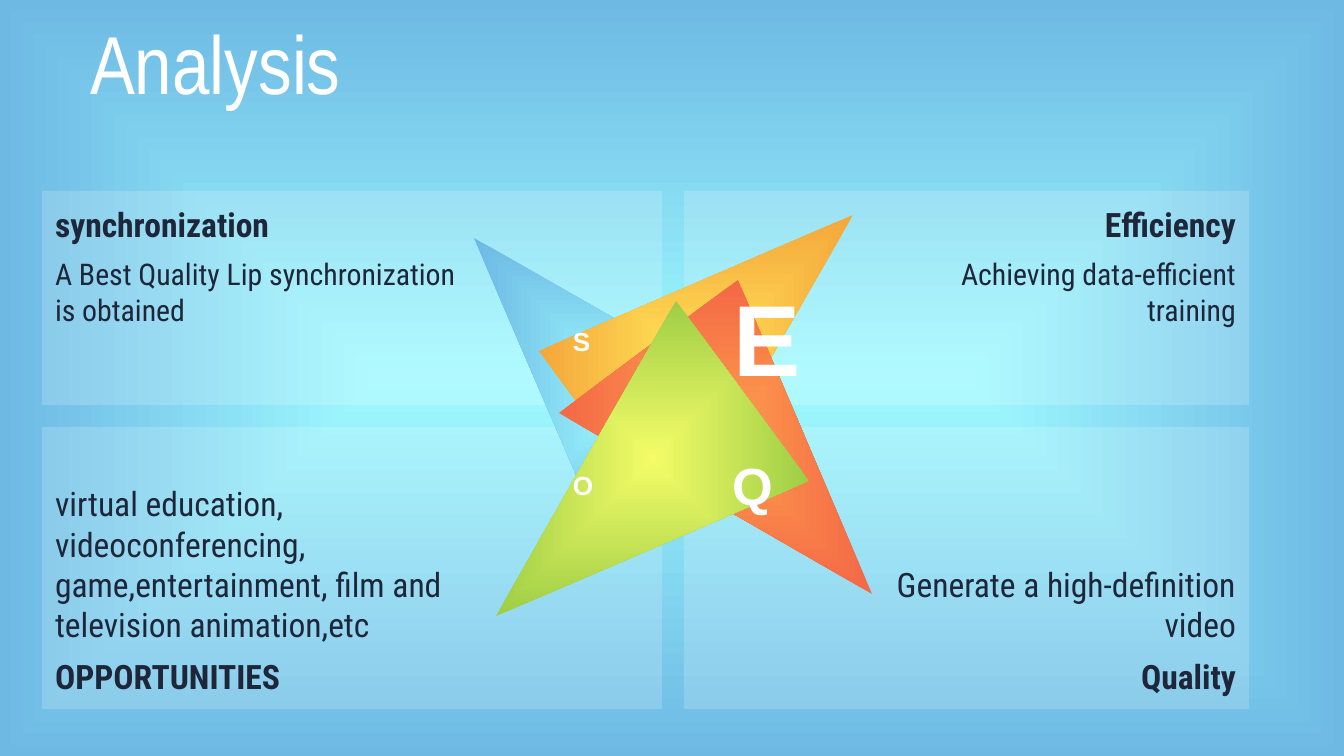
from lxml.etree import SubElement
from pptx import Presentation
from pptx.dml.color import RGBColor
from pptx.enum.shapes import MSO_SHAPE
from pptx.enum.text import MSO_ANCHOR as Anchor, PP_ALIGN as Align
from pptx.oxml.ns import qn
from pptx.util import Pt

COLORS = {
    "white": "FFFFFF", "ink": "1E263A",
    "blue": ("9FFAFF", "6DB9E4"), "orange": ("FFE659", "F5A73B"),
    "red": ("FF9F4D", "F36846"), "green": ("F4FC68", "9ECE46"),
}
TITLE = ("Analysis", (90, 22, 375, 90))

# Panels: column, row, then paragraphs as (text, size, bold)
PANELS = [
    ("left", "top", [("synchronization", 18, True),
                     ("A Best Quality Lip synchronization is obtained", 16, False)]),
    ("right", "top", [("Efficiency", 18, True),
                      ("Achieving data-efficient training", 16, False)]),
    ("left", "bottom", [("virtual education, videoconferencing, game,entertainment, "
                         "film and television animation,etc", 18, False),
                        ("OPPORTUNITIES", 18, True)]),
    ("right", "bottom", [("Generate a high-definition video", 18, False),
                         ("Quality", 18, True)]),
]
# Column: left, width, side insets, alignment; row: top, height, anchor
COLUMNS = {"left": (42, 620, (13, 202), Align.LEFT),
           "right": (684, 565, (202, 13), Align.RIGHT)}
ROWS = {"top": (191, 214, Anchor.TOP), "bottom": (427, 282, Anchor.BOTTOM)}

# Triangles of the star, back to front
TRIANGLES = [
    ("blue", [(609, 551), (788, 418), (474, 238)]),
    ("orange", [(539, 351), (672, 530), (853, 215)]),
    ("red", [(738, 280), (559, 413), (872, 594)]),
    ("green", [(809, 481), (676, 301), (496, 616)]),
]
LETTERS = [("S", 14, (560, 313, 56, 60)), ("E", 54, (720, 313, 46, 60)),
           ("O", 14, (560, 457, 53, 60)), ("Q", 28, (719, 458, 79, 60))]

EMU_PER_PX = 914400 / 134.4


def px(*values):
    return [round(value * EMU_PER_PX) for value in values]


def set_all(target, **values):
    for name, value in values.items():
        setattr(target, name, value)


def set_gradient(fill, element, color):
    """Rectangular gradient from the centre outwards."""
    fill.gradient()
    for stop, value in zip(fill.gradient_stops, COLORS[color]):
        stop.color.rgb = RGBColor.from_string(value)
    gradient = element.find(".//" + qn("a:gradFill"))
    gradient.remove(gradient.find(qn("a:lin")))
    center = SubElement(gradient, qn("a:path"), path="rect")
    SubElement(center, qn("a:fillToRect"), {side: "50000" for side in "ltrb"})


def set_frame(frame, insets, anchor, wrap=True):
    sides = ("margin_left", "margin_top", "margin_right", "margin_bottom")
    set_all(frame, word_wrap=wrap, vertical_anchor=anchor,
            **dict(zip(sides, px(*insets))))


def write(paragraph, text, font, size, color, bold=False, **layout):
    set_all(paragraph, **layout)
    run = paragraph.add_run()
    run.text = text
    set_all(run.font, name=font, size=Pt(size), bold=bold)
    run.font.color.rgb = RGBColor.from_string(COLORS[color])


presentation = Presentation()
presentation.slide_width, presentation.slide_height = px(1344, 756)
slide = presentation.slides.add_slide(presentation.slide_layouts[6])
shapes = slide.shapes
set_gradient(slide.background.fill, slide._element, "blue")

# Title
text, box = TITLE
frame = shapes.add_textbox(*px(*box)).text_frame
set_frame(frame, (0, 0, 0, 0), Anchor.BOTTOM)
write(frame.paragraphs[0], text, "Arial Narrow", 44, "white", line_spacing=0.9)

# Translucent panels
for column, row, lines in PANELS:
    left, width, (inset_left, inset_right), alignment = COLUMNS[column]
    top, height, anchor = ROWS[row]
    panel = shapes.add_shape(MSO_SHAPE.RECTANGLE, *px(left, top, width, height))
    panel.shadow.inherit = False
    panel.line.fill.background()
    panel.fill.solid()
    panel.fill.fore_color.rgb = RGBColor.from_string(COLORS["white"])
    fill_color = panel._element.spPr.find(".//" + qn("a:srgbClr"))
    SubElement(fill_color, qn("a:alpha"), val="18000")
    frame = panel.text_frame
    set_frame(frame, (inset_left, 13, inset_right, 13), anchor)
    for index, (text, size, bold) in enumerate(lines):
        paragraph = frame.add_paragraph() if index else frame.paragraphs[0]
        gap = Pt(6 if index else 0)
        write(paragraph, text, "Roboto Condensed", size, "ink", bold,
              alignment=alignment, space_before=gap, space_after=gap)

# Star
for color, points in TRIANGLES:
    start, *others = [px(*point) for point in points]
    builder = shapes.build_freeform(*start)
    builder.add_line_segments(others, close=True)
    triangle = builder.convert_to_shape()
    triangle.shadow.inherit = False
    triangle.line.fill.background()
    set_gradient(triangle.fill, triangle._element, color)

# Letters on the star
for text, size, box in LETTERS:
    frame = shapes.add_textbox(*px(*box)).text_frame
    set_frame(frame, (13, 7, 13, 7), Anchor.MIDDLE, wrap=False)
    write(frame.paragraphs[0], text, "Arial", size, "white", True, line_spacing=0.93)

presentation.save("out.pptx")
